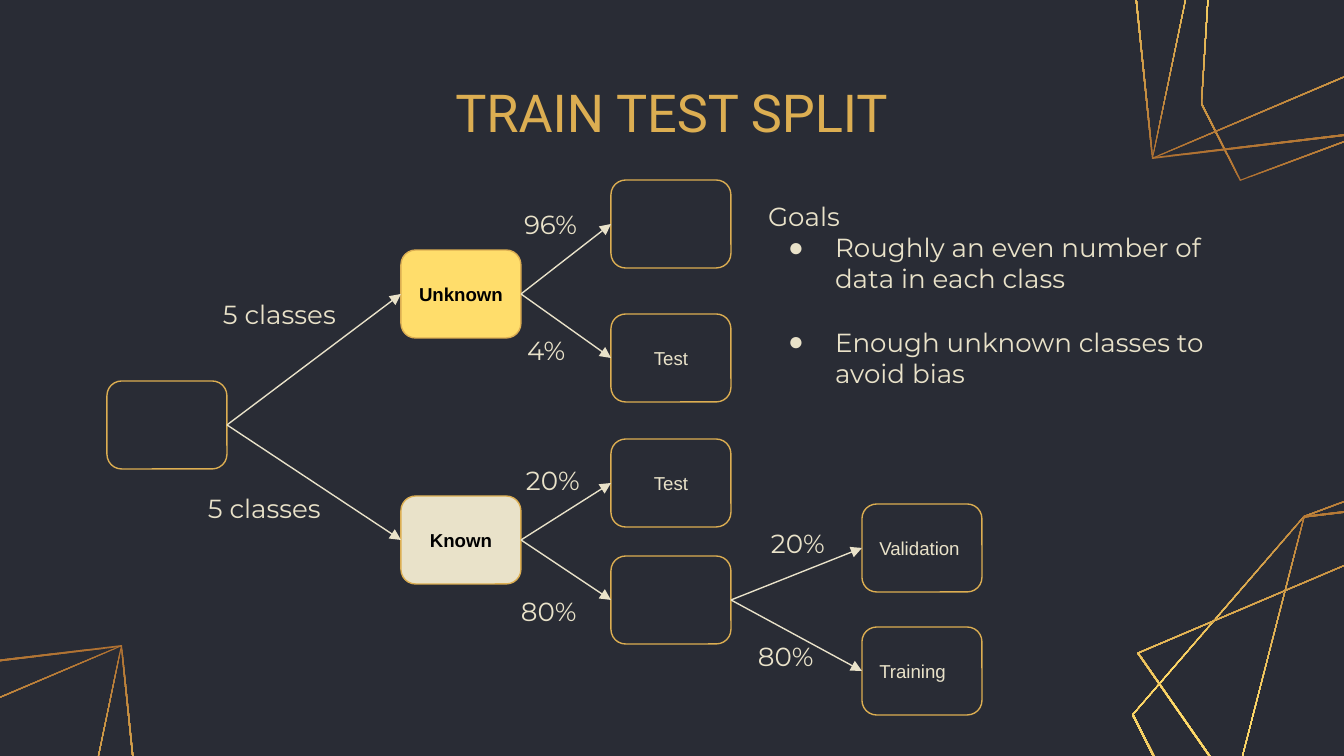
"""Build the train/test split slide: a branching diagram, a goals list and corner line art."""
from copy import deepcopy
from dataclasses import dataclass

from lxml import etree
from pptx import Presentation
from pptx.dml.color import RGBColor
from pptx.enum import shapes, text
from pptx.oxml import ns
from pptx.util import Emu, Pt

PX = 914400 / 134.4
INSET = 13
NODE_W, NODE_H = 120, 88
RING = 0.992
GOLD, YELLOW, BRONZE, CREAM = "DCAE52", "FFDD6B", "AF7132", "E9E2C9"
DARK, BLACK = "292C35", "000000"
LEFT, CENTER = text.PP_ALIGN.LEFT, text.PP_ALIGN.CENTER
TOP, MIDDLE = text.MSO_ANCHOR.TOP, text.MSO_ANCHOR.MIDDLE


@dataclass(frozen=True)
class Node:
    """A rounded box of the split tree."""
    x: int
    y: int
    label: str = ""
    fill: str = ""
    align: text.PP_ALIGN = CENTER


@dataclass(frozen=True)
class Label:
    """A caption beside a branch."""
    x: int
    y: int
    w: int
    caption: str


@dataclass(frozen=True)
class Corner:
    """A placement of the line art: an offset, or a half turn."""
    dx: int
    dy: int
    sign: int
    outlines: tuple


WIDE = ((1212, 873), (1132, 715), (1304, 516), (1433, 468), (1472, 545), (1456, 802))
TALL = ((1329, 929), (1212, 873), (1304, 516), (1521, 490), (1456, 802))
KITE = ((1329, 929), (1137, 653), (1521, 490), (1539, 665))
CORNERS = (
    Corner(0, 0, 1, (WIDE, TALL, KITE)),
    Corner(2673, 649, -1, (WIDE, TALL, KITE)),
    Corner(-1399, 155, 1, (TALL, KITE)),
)
NODES = {
    "data": Node(107, 381),
    "unknown": Node(401, 250, "Unknown", YELLOW),
    "known": Node(401, 496, "Known", CREAM),
    "unknown rest": Node(611, 180),
    "unknown test": Node(611, 314, "Test"),
    "known test": Node(611, 439, "Test"),
    "known rest": Node(611, 556),
    "validation": Node(862, 504, "Validation", align=LEFT),
    "training": Node(862, 627, "Training", align=LEFT),
}
BRANCHES = {
    "data": ("unknown", "known"),
    "unknown": ("unknown rest", "unknown test"),
    "known": ("known test", "known rest"),
    "known rest": ("validation", "training"),
}
LABELS = (
    Label(210, 285, 140, "5 classes"),
    Label(195, 479, 140, "5 classes"),
    Label(511, 195, 83, "96%"),
    Label(514, 321, 77, "4%"),
    Label(513, 451, 89, "20%"),
    Label(508, 582, 89, "80%"),
    Label(758, 514, 89, "20%"),
    Label(745, 627, 89, "80%"),
)
GOALS = ("Roughly an even number of data in each class", "Enough unknown classes to avoid bias")


def px(n: float) -> Emu:
    """Turn pixels into EMU."""
    return Emu(round(n * PX))


def rgb(color: str) -> RGBColor:
    """Turn a hex string into a colour."""
    return RGBColor.from_string(color)


def place(sp, x: int, y: int, w: int, h: int) -> None:
    """Move and size a shape."""
    sp.left, sp.top, sp.width, sp.height = map(px, (x, y, w, h))


def set_frame(tf, anchor) -> None:
    """Give a text frame wrapping, equal insets and an anchor."""
    tf.word_wrap = True
    tf.auto_size = text.MSO_AUTO_SIZE.NONE
    tf.vertical_anchor = anchor
    tf.margin_left = tf.margin_right = tf.margin_top = tf.margin_bottom = px(INSET)


def write(p, words: str, size: int, font: str, color: str, align=LEFT, bold: bool = False) -> None:
    """Fill and format a paragraph."""
    p.text = words
    p.alignment = align
    p.font.size, p.font.name, p.font.bold = Pt(size), font, bold
    p.font.color.rgb = rgb(color)


def set_bullet(p, char: str = "", indent: int = 0, hang: int = 0) -> None:
    """Set a paragraph's indents and its bullet, or turn the bullet off."""
    ppr = p._p.get_or_add_pPr()
    ppr.set("marL", str(px(indent)))
    ppr.set("indent", str(px(-hang)))
    parts = [etree.Element(ns.qn("a:buChar"), char=char) if char else etree.Element(ns.qn("a:buNone"))]
    if char:
        parts.insert(0, etree.Element(ns.qn("a:buClr")))
        etree.SubElement(parts[0], ns.qn("a:srgbClr"), val=CREAM)
    for part in parts:
        ppr.find(ns.qn("a:defRPr")).addprevious(part)


def draw_outline(slide, corner: Corner, outline: tuple) -> None:
    """Draw a polygon as a thin ring with a gradient fill."""
    outer = [(corner.dx + corner.sign * x, corner.dy + corner.sign * y) for x, y in outline]
    cx, cy = (sum(axis) / len(outer) for axis in zip(*outer))
    inner = [(cx + (x - cx) * RING, cy + (y - cy) * RING) for x, y in reversed(outer)]
    rings = [[(px(x), px(y)) for x, y in ring] for ring in (outer, inner)]
    builder = slide.shapes.build_freeform(*rings[0][0])
    builder.add_line_segments(rings[0][1:])
    builder.move_to(*rings[1][0])
    builder.add_line_segments(rings[1][1:])
    sp = builder.convert_to_shape()
    sp.shadow.inherit = False
    sp.line.fill.background()
    sp.fill.gradient()
    sp.fill.gradient_angle = 270 if corner.sign > 0 else 90
    stops = sp._element.spPr.find(".//" + ns.qn("a:gsLst"))
    stops.append(deepcopy(stops[0]))
    for stop, position, color in zip(sp.fill.gradient_stops, (0, 0.5, 1), (BRONZE, YELLOW, GOLD)):
        stop.position = position
        stop.color.rgb = rgb(color)


def draw_node(slide, node: Node):
    """Draw a box of the tree and return its shape."""
    sp = slide.shapes.add_shape(
        shapes.MSO_SHAPE.ROUNDED_RECTANGLE, *map(px, (node.x, node.y, NODE_W, NODE_H)))
    sp.shadow.inherit = False
    sp.line.color.rgb, sp.line.width = rgb(GOLD), Pt(0.75)
    if node.fill:
        sp.fill.solid()
        sp.fill.fore_color.rgb = rgb(node.fill)
    else:
        sp.fill.background()
    if node.label:
        set_frame(sp.text_frame, MIDDLE)
        color = BLACK if node.fill else CREAM
        write(sp.text_frame.paragraphs[0], node.label, 10, "Arial", color, node.align, bool(node.fill))
    return sp


def draw_arrow(slide, start, end) -> None:
    """Join the right side of one box to the left side of another."""
    line = slide.shapes.add_connector(shapes.MSO_CONNECTOR.STRAIGHT, 0, 0, 0, 0)
    line.begin_connect(start, 3)
    line.end_connect(end, 1)
    line.line.color.rgb, line.line.width = rgb(CREAM), Pt(0.75)
    etree.SubElement(line.line._get_or_add_ln(), ns.qn("a:tailEnd"), type="triangle")
    etree.SubElement(line._element.spPr, ns.qn("a:effectLst"))


def draw_label(slide, label: Label) -> None:
    """Draw a branch caption."""
    sp = slide.shapes.add_textbox(*map(px, (label.x, label.y, label.w, 52)))
    set_frame(sp.text_frame, TOP)
    write(sp.text_frame.paragraphs[0], label.caption, 14, "Montserrat", CREAM)


def fill_goals(body) -> None:
    """Write the goals list into the body placeholder."""
    place(body, 755, 187, 481, 214)
    tf = body.text_frame
    set_frame(tf, TOP)
    for i, words in enumerate(("Goals",) + GOALS):
        p = tf.add_paragraph() if i else tf.paragraphs[0]
        write(p, words, 14, "Montserrat", CREAM)
        p.space_before = Pt(17 if i == 2 else 0)
        if i:
            set_bullet(p, "●", 67, 47)
        else:
            set_bullet(p)


def main() -> None:
    """Build and save the slide."""
    prs = Presentation()
    prs.slide_width, prs.slide_height = px(1344), px(756)
    slide = prs.slides.add_slide(prs.slide_layouts[1])
    slide.background.fill.solid()
    slide.background.fill.fore_color.rgb = rgb(DARK)
    for corner in CORNERS:
        for outline in corner.outlines:
            draw_outline(slide, corner, outline)
    title, body = slide.placeholders
    place(title, 293, 80, 757, 63)
    set_frame(title.text_frame, MIDDLE)
    write(title.text_frame.paragraphs[0], "TRAIN TEST SPLIT", 28, "Roboto", GOLD, CENTER)
    boxes = {name: draw_node(slide, node) for name, node in NODES.items()}
    for start, ends in BRANCHES.items():
        for end in ends:
            draw_arrow(slide, boxes[start], boxes[end])
    for label in LABELS:
        draw_label(slide, label)
    fill_goals(body)
    prs.save("out.pptx")


if __name__ == "__main__":
    main()
